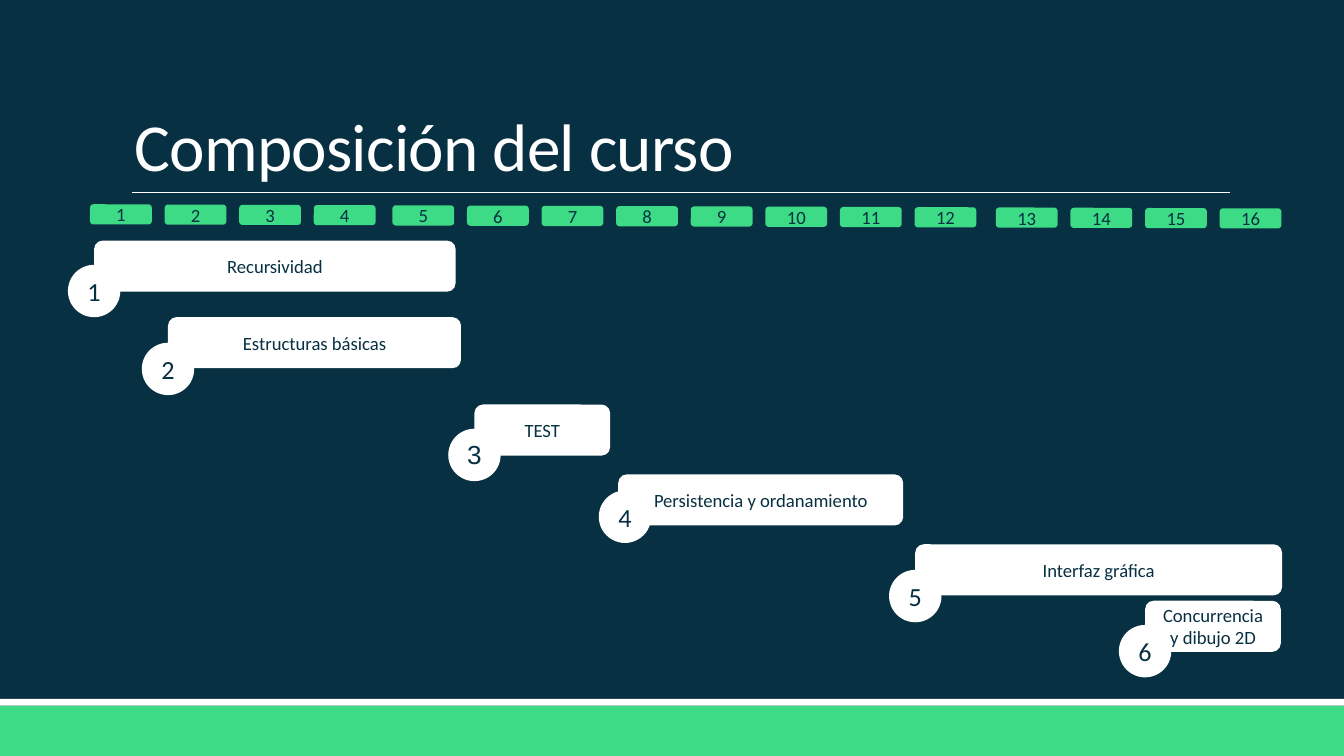
import pptx
import pptx.dml.color
import pptx.enum.shapes
import pptx.enum.text
import pptx.oxml.ns
import pptx.util
from lxml import etree

Inches = pptx.util.Inches
Pt = pptx.util.Pt
RGBColor = pptx.dml.color.RGBColor
Preset = pptx.enum.shapes.MSO_SHAPE
Anchor = pptx.enum.text.MSO_ANCHOR
Align = pptx.enum.text.PP_ALIGN

NAVY = RGBColor(0x07, 0x30, 0x42)
GREEN = RGBColor(0x3D, 0xDB, 0x85)
WHITE = RGBColor(0xFF, 0xFF, 0xFF)

SLIDE_WIDTH = 10
SLIDE_HEIGHT = SLIDE_WIDTH * 9 / 16
WEEK_PITCH, WEEK_WIDTH, WEEK_HEIGHT = 0.555, 0.46, 0.15
WEEK_GROUPS = [(0, 4), (2.25, 8), (6.74, 4)]
WEEK_DROP = 0.002
UNIT_HEIGHT, BADGE_SIZE = 0.38, 0.39
TEST_UNIT = "TEST"

UNITS = [
    ("Recursividad", 0.7, 1.79, 2.69, 0, 0.18),
    ("Estructuras básicas", 1.25, 2.36, 2.18, 0, 0.19),
    (TEST_UNIT, 3.53, 3.01, 1.01, 0, 0.18),
    ("Persistencia y ordanamiento", 4.6, 3.53, 2.12, 0.05, 0.12),
    ("Interfaz gráfica", 6.81, 4.05, 2.73, 0, 0.19),
    ("Concurrencia y dibujo 2D", 8.52, 4.47, 1.01, 0, 0.18),
]


def format_runs(paragraph, size, color, font="Calibri"):
    """Apply font, size and colour to every run of a paragraph."""
    for run in paragraph.runs:
        run.font.name = font
        run.font.size = Pt(size)
        run.font.color.rgb = color


def add_block(slide, preset, left, top, width, height, fill):
    """Add a flat, borderless preset shape."""
    block = slide.shapes.add_shape(
        preset, Inches(left), Inches(top), Inches(width), Inches(height)
    )
    block.shadow.inherit = False
    block.fill.solid()
    block.fill.fore_color.rgb = fill
    block.line.fill.background()
    return block


def label_block(block, label, size, font="Calibri", side_margin=0.0):
    """Write a centred navy label in a block."""
    frame = block.text_frame
    frame.word_wrap = True
    frame.vertical_anchor = Anchor.MIDDLE
    frame.margin_top = frame.margin_bottom = 0
    frame.margin_left = frame.margin_right = Inches(side_margin)
    frame.text = label
    frame.paragraphs[0].alignment = Align.CENTER
    format_runs(frame.paragraphs[0], size, NAVY, font)


def add_footer(slide, top):
    """Draw the white stripe and green band down to the slide's lower edge."""
    stripe_height = 0.05
    band_top = top + stripe_height
    add_block(slide, Preset.RECTANGLE, 0, band_top, SLIDE_WIDTH,
              SLIDE_HEIGHT - band_top, GREEN)
    add_block(slide, Preset.RECTANGLE, 0, top, SLIDE_WIDTH, stripe_height, WHITE)


def add_heading(slide, left, top, width, height):
    """Place the title and the rule under it."""
    bottom = Inches(top + height)
    rule = slide.shapes.add_connector(
        pptx.enum.shapes.MSO_CONNECTOR.STRAIGHT,
        Inches(left + 0.08), bottom, Inches(left + width), bottom,
    )
    rule.line.color.rgb = WHITE
    rule.line.width = Pt(0.5)
    etree.SubElement(rule._element.spPr, pptx.oxml.ns.qn("a:effectLst"))

    title = slide.shapes.title
    title.left, title.top = Inches(left), Inches(top)
    title.width, title.height = Inches(width), Inches(height)
    frame = title.text_frame
    frame.text = "Composición del curso"
    frame.word_wrap = True
    frame.auto_size = pptx.enum.text.MSO_AUTO_SIZE.NONE
    frame.vertical_anchor = Anchor.BOTTOM
    heading = frame.paragraphs[0]
    heading.alignment = Align.LEFT
    heading.line_spacing = 0.85
    format_runs(heading, 36, WHITE)
    heading.runs[0].font._element.set("spc", "-40")


def add_weeks(slide, left, top):
    """Lay out the numbered weeks in evenly pitched groups."""
    week = 0
    for group_left, count in WEEK_GROUPS:
        for position in range(count):
            marker = add_block(
                slide, Preset.ROUNDED_RECTANGLE,
                left + group_left + position * WEEK_PITCH, top + week * WEEK_DROP,
                WEEK_WIDTH, WEEK_HEIGHT, GREEN,
            )
            week += 1
            label_block(marker, str(week), 10)


def add_unit(slide, number, name, left, top, width, badge_x, badge_y):
    """Draw a unit bar with its number badge, whose offsets start at the bar's corner."""
    bar = add_block(slide, Preset.ROUNDED_RECTANGLE, left, top, width,
                    UNIT_HEIGHT, WHITE)
    label_block(bar, name, 10, side_margin=0.1)
    badge_left = left + badge_x - BADGE_SIZE / 2
    badge_top = top + badge_y
    badge = add_block(slide, Preset.OVAL, badge_left, badge_top,
                      BADGE_SIZE, BADGE_SIZE, WHITE)
    if name == TEST_UNIT:
        numeral = slide.shapes.add_textbox(
            Inches(badge_left + 0.04), Inches(badge_top + 0.02),
            Inches(0.31), Inches(0.34),
        )
        label_block(numeral, str(number), 14, "Arial")
    else:
        label_block(badge, str(number), 14)


def main():
    """Build and save the course plan slide."""
    presentation = pptx.Presentation()
    presentation.slide_width = Inches(SLIDE_WIDTH)
    presentation.slide_height = Inches(SLIDE_HEIGHT)
    slide = presentation.slides.add_slide(presentation.slide_layouts[5])
    slide.background.fill.solid()
    slide.background.fill.fore_color.rgb = NAVY

    add_footer(slide, 5.2)
    add_heading(slide, 0.9, 0.24, 8.25, 1.19)
    add_weeks(slide, 0.67, 1.52)
    for number, unit in enumerate(UNITS, start=1):
        add_unit(slide, number, *unit)
    presentation.save("out.pptx")


if __name__ == "__main__":
    main()
